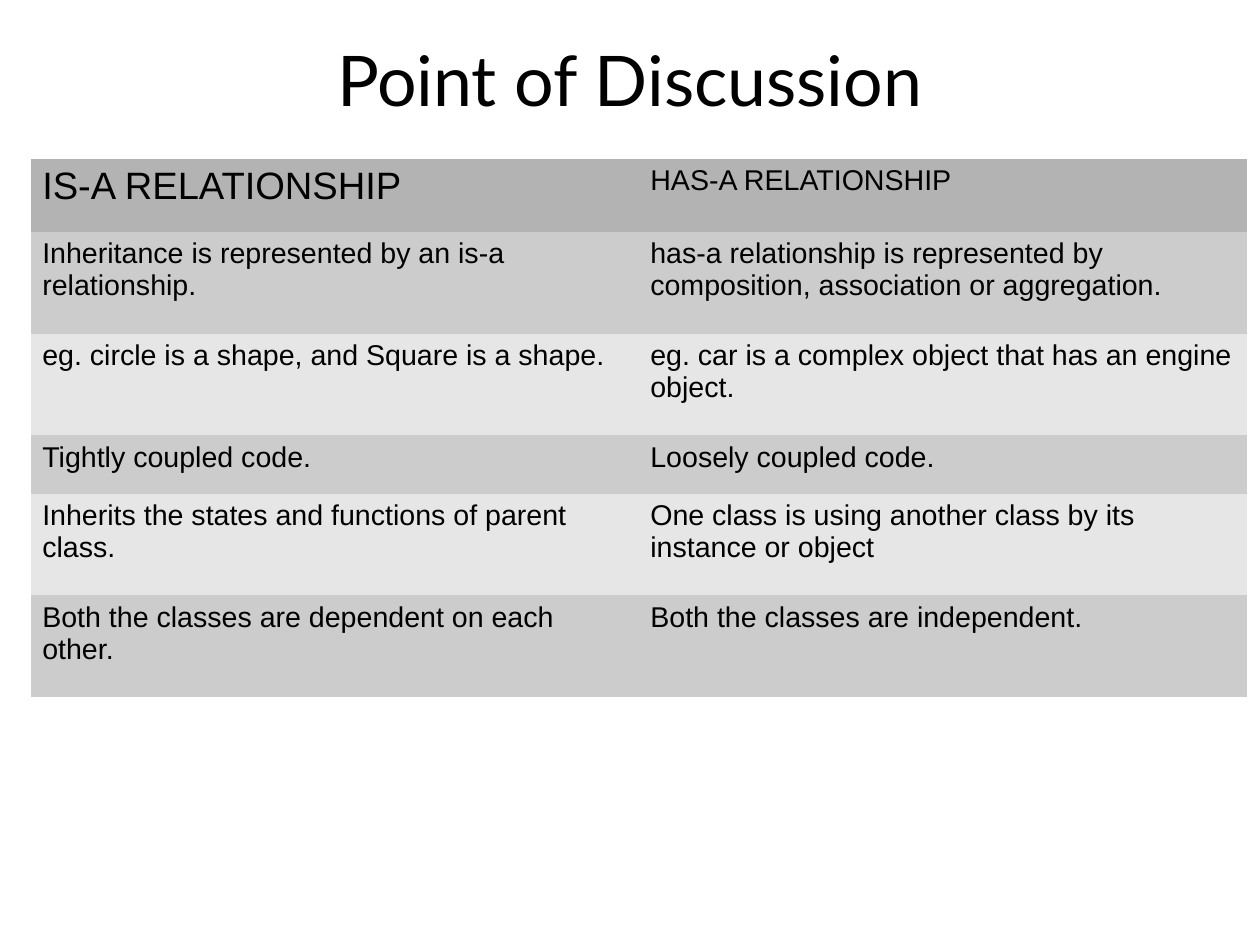
from dataclasses import dataclass

import pptx
import pptx.dml.color
import pptx.enum.text
import pptx.oxml.ns
import pptx.util


@dataclass(frozen=True)
class Theme:
    title_font: str = "Lato"
    body_font: str = "Arial"
    title_size: int = 44
    lead_size: int = 24
    body_size: int = 18
    ink: str = "000000"
    header: str = "B3B3B3"
    bands: tuple = ("CCCCCC", "E6E6E6")


THEME = Theme()
WIDTH = pptx.util.Cm(28)
HEIGHT = pptx.util.Cm(21)
NO_STYLE_NO_GRID = "{2D5ABB26-0587-4C30-8999-92F81FD0307C}"
ROW_HEIGHTS = (0.64, 0.89, 0.89, 0.51, 0.89, 0.89)
COMPARISON = (
    ("IS-A RELATIONSHIP", "HAS-A RELATIONSHIP"),
    ("Inheritance is represented by an is-a relationship.",
     "has-a relationship is represented by composition, association or aggregation."),
    ("eg. circle is a shape, and Square is a shape.",
     "eg. car is a complex object that has an engine object."),
    ("Tightly coupled code.", "Loosely coupled code."),
    ("Inherits the states and functions of parent class.",
     "One class is using another class by its instance or object"),
    ("Both the classes are dependent on each other.",
     "Both the classes are independent."),
)


def rgb(value):
    return pptx.dml.color.RGBColor.from_string(value)


def add_run(p, text, font, size):
    r = p.add_run()
    r.text = text
    r.font.name = font
    r.font.size = pptx.util.Pt(size)
    r.font.bold = False
    r.font.color.rgb = rgb(THEME.ink)


def add_title(s, text):
    sp = s.shapes.add_textbox(int(WIDTH * 0.05), 0, int(WIDTH * 0.9), int(HEIGHT / 6))
    tf = sp.text_frame
    tf.word_wrap = True
    tf.vertical_anchor = pptx.enum.text.MSO_ANCHOR.MIDDLE
    tf.margin_left = tf.margin_right = tf.margin_top = tf.margin_bottom = 0
    p = tf.paragraphs[0]
    p.alignment = pptx.enum.text.PP_ALIGN.CENTER
    add_run(p, text, THEME.title_font, THEME.title_size)


def fill_cell(cell, text, size, color):
    cell.fill.solid()
    cell.fill.fore_color.rgb = rgb(color)
    cell.margin_left = cell.margin_right = pptx.util.Inches(0.1)
    cell.margin_top = cell.margin_bottom = pptx.util.Inches(0.05)
    add_run(cell.text_frame.paragraphs[0], text, THEME.body_font, size)


def add_comparison(s, rows):
    left, top = pptx.util.Inches(0.27), pptx.util.Inches(1.39)
    width = pptx.util.Inches(10.64)
    height = pptx.util.Inches(sum(ROW_HEIGHTS))
    table = s.shapes.add_table(len(rows), len(rows[0]), left, top, width, height).table
    table.first_row = table.horz_banding = False
    table._tbl.tblPr.find(pptx.oxml.ns.qn("a:tableStyleId")).text = NO_STYLE_NO_GRID
    for i, texts in enumerate(rows):
        table.rows[i].height = pptx.util.Inches(ROW_HEIGHTS[i])
        color = THEME.bands[(i - 1) % 2] if i else THEME.header
        for j, text in enumerate(texts):
            size = THEME.lead_size if i == j == 0 else THEME.body_size
            fill_cell(table.cell(i, j), text, size, color)


def main():
    prs = pptx.Presentation()
    prs.slide_width = WIDTH
    prs.slide_height = HEIGHT
    s = prs.slides.add_slide(prs.slide_layouts[6])
    add_comparison(s, COMPARISON)
    add_title(s, "Point of Discussion")
    prs.save("out.pptx")


if __name__ == "__main__":
    main()
